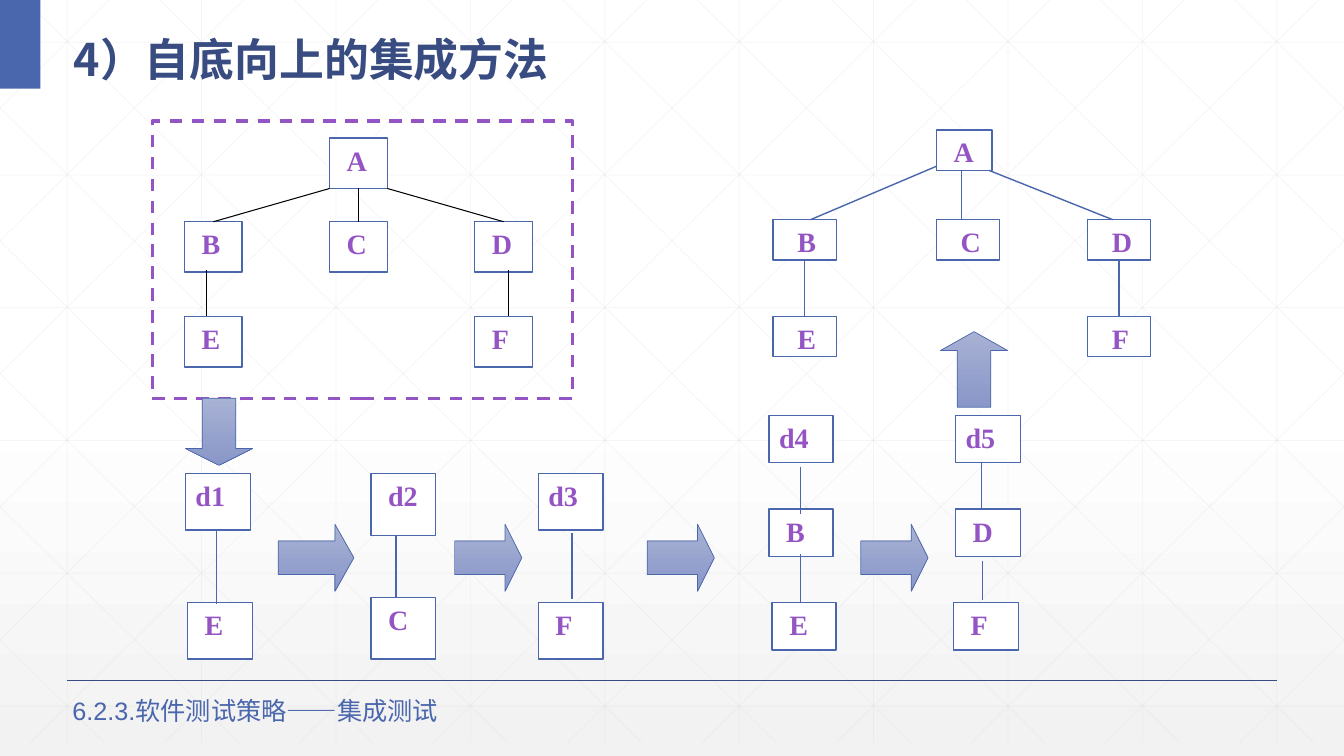
from typing import NamedTuple

from lxml.etree import SubElement
from pptx import Presentation
from pptx.dml.color import RGBColor
from pptx.enum.dml import MSO_LINE
from pptx.enum.shapes import MSO_CONNECTOR, MSO_SHAPE
from pptx.enum.text import MSO_ANCHOR, MSO_AUTO_SIZE, PP_ALIGN
from pptx.oxml.ns import qn
from pptx.util import Inches, Pt

COLUMNS, ROWS = 40, 22.5
CELL = Inches(13.33) / COLUMNS
BLUE = RGBColor(0x4A, 0x66, 0xAC)
NAVY = RGBColor(0x38, 0x4C, 0x81)
PURPLE = RGBColor(0x94, 0x54, 0xC3)
ARROW_LIGHT = RGBColor(0xA8, 0xB2, 0xD4)
ARROW_DARK = RGBColor(0x89, 0x96, 0xC8)
GRID_GRAY = RGBColor(0xD9, 0xD9, 0xD9)
PALE_GRAY = RGBColor(0xF2, 0xF2, 0xF2)
WHITE = RGBColor(0xFF, 0xFF, 0xFF)
BLACK = RGBColor(0, 0, 0)


class Region(NamedTuple):
    """A box measured in cells of the slide grid."""
    left: float
    top: float
    width: float
    height: float

    def inner(self, left, top, width, height):
        """Return a box placed relative to this one."""
        return Region(self.left + left, self.top + top, width, height)

    def emu(self):
        """Return the box in slide units."""
        return [round(length * CELL) for length in self]


def add_line(slide, region, ends, color, width, opacity=None):
    """Draw a straight line between two points of a region."""
    x1, y1, x2, y2 = ends
    points = (region.left + x1, region.top + y1, region.left + x2, region.top + y2)
    connector = slide.shapes.add_connector(
        MSO_CONNECTOR.STRAIGHT, *(round(point * CELL) for point in points))
    connector.line.color.rgb = color
    connector.line.width = Pt(width)
    if opacity:
        color_element = next(connector.element.iter(qn("a:srgbClr")))
        SubElement(color_element, qn("a:alpha"), val=str(opacity * 1000))
    SubElement(connector.element.spPr, qn("a:effectLst"))


def add_box(slide, region, kind=MSO_SHAPE.RECTANGLE, fill=None, line=None, width=1):
    """Add a preset shape with a plain fill and outline."""
    shape = slide.shapes.add_shape(kind, *region.emu())
    shape.shadow.inherit = False
    if fill is None:
        shape.fill.background()
    else:
        shape.fill.solid()
        shape.fill.fore_color.rgb = fill
    if line is None:
        shape.line.fill.background()
    else:
        shape.line.color.rgb = line
        shape.line.width = Pt(width)
    return shape


def set_gradient(fill, start, end, start_position=0):
    """Fill from top to bottom with two colours."""
    fill.gradient()
    fill.gradient_angle = 270
    first, last = fill.gradient_stops
    first.color.rgb, last.color.rgb = start, end
    first.position = start_position


def write(shape, text, font_name, size, color, bold=False):
    """Write one left-aligned paragraph."""
    paragraph = shape.text_frame.paragraphs[0]
    paragraph.text = text
    paragraph.alignment = PP_ALIGN.LEFT
    font = paragraph.font
    font.name, font.size, font.bold = font_name, Pt(size), bold
    font.color.rgb = color
    return paragraph


def draw_backdrop(slide, region):
    """Draw the shaded background with its faint lattice."""
    set_gradient(slide.background.fill, WHITE, PALE_GRAY, 0.53)
    right, bottom = region.width, region.height
    lines = [(x, 0, x, bottom) for x in range(2, COLUMNS, 4)]
    lines += [(0, 1.26 + 3.95 * row, right, 1.26 + 3.95 * row) for row in range(6)]
    slope = bottom / 22.36
    for step in range(-5, 10):
        start = 0.75 + 4 * step
        x1, x2 = max(start, 0), min(start + 22.36, right)
        y1, y2 = (x1 - start) * slope, (x2 - start) * slope
        lines += [(x1, y1, x2, y2), (right - x1, y1, right - x2, y2)]
    for ends in lines:
        add_line(slide, region, ends, GRID_GRAY, 0.5, opacity=25)


def draw_header(slide, region):
    """Place the corner block and the title."""
    add_box(slide, region.inner(0, 0, 1.2, region.height), fill=BLUE)
    title = slide.shapes.title
    title.left, title.top, title.width, title.height = region.inner(1.89, 0.42, 36.15, 2.19).emu()
    title.text_frame.auto_size = MSO_AUTO_SIZE.NONE
    title.text_frame.vertical_anchor = MSO_ANCHOR.MIDDLE
    paragraph = write(title, "4）自底向上的集成方法", "Noto Sans CJK SC", 32, NAVY, True)
    paragraph.line_spacing = 1.3
    slide.shapes.element.append(title.element)


def draw_footer(slide, region):
    """Draw the rule and the section name below it."""
    add_line(slide, region, (0, 0, region.width, 0), NAVY, 1)
    label = slide.shapes.add_textbox(*region.inner(-0.14, 0.3, 13.86, 1.2).emu())
    label.text_frame.word_wrap = True
    write(label, "6.2.3.软件测试策略——集成测试", "Arial", 18, BLUE)


def draw_node(slide, region, text, indent):
    """Draw one module box with its label."""
    node = add_box(slide, region, fill=WHITE, line=BLUE)
    node.text_frame.margin_left = round(indent * CELL)
    node.text_frame.margin_right = 0
    node.text_frame.vertical_anchor = MSO_ANCHOR.TOP
    write(node, text, "Times New Roman", 20, PURPLE, True)


def draw_tree(slide, region, columns, rows, widths, height, indents, links, line):
    """Draw the six-module call tree."""
    for row, labels in enumerate(("A", "BCD", "EF")):
        places = ((1,), (0, 1, 2), (0, 2))[row]
        for label, column in zip(labels, places):
            box = region.inner(columns[column], rows[row], widths[row > 0], height)
            draw_node(slide, box, label, indents[row > 0])
    for ends in links:
        add_line(slide, region, ends, *line)


def draw_stack(slide, region, labels, height, shift, links, driver_indent=0.3):
    """Draw a driver with the modules it tests spread evenly below."""
    last = len(labels) - 1
    for index, label in enumerate(labels):
        left = shift if index == last else 0
        top = (region.height - height) * index / last
        indent = 0.51 if index else driver_indent
        draw_node(slide, region.inner(left, top, region.width, height), label, indent)
    for x, start, end in links:
        add_line(slide, region, (x, start, x, end), BLUE, 1)


def draw_arrow(slide, region, kind):
    """Draw a shaded block arrow whose head is a quarter of its length."""
    arrow = add_box(slide, region, kind, WHITE, BLUE, 0.5)
    set_gradient(arrow.fill, ARROW_LIGHT, ARROW_DARK)
    arrow.adjustments[0] = 0.5
    arrow.adjustments[1] = max(region.width, region.height) / 8


def main():
    """Build the slide and save it."""
    presentation = Presentation()
    presentation.slide_width = round(COLUMNS * CELL)
    presentation.slide_height = round(ROWS * CELL)
    slide = presentation.slides.add_slide(presentation.slide_layouts[5])
    draw_backdrop(slide, Region(0, 0, COLUMNS, 22.11))
    draw_header(slide, Region(0, 0, COLUMNS, 2.64))
    draw_footer(slide, Region(2, 20.25, 36, 2.25))

    start = Region(4.53, 3.6, 12.51, 8.25)
    draw_tree(slide, start, (0.96, 5.28, 9.6), (0.51, 3, 5.82), (1.72, 1.72), 1.5, (0.51, 0.51),
              [(5.28, 2.01, 1.82, 3), (7, 2.01, 10.46, 3), (6.14, 2.01, 6.14, 3),
               (1.62, 4.44, 1.62, 5.82), (10.59, 4.44, 10.59, 5.82)], (BLACK, 0.75))
    frame = add_box(slide, start, line=PURPLE, width=2.25)
    frame.line.dash_style = MSO_LINE.DASH

    draw_stack(slide, Region(11.04, 14.1, 1.93, 5.52), ("d2", "C"), 1.83, 0,
               [(0.75, 1.83, 3.69)], driver_indent=0.51)
    draw_stack(slide, Region(5.52, 14.1, 1.93, 5.52), ("d1", "E"), 1.68, 0.06, [(0.93, 1.65, 3.87)])
    draw_stack(slide, Region(16.02, 14.1, 1.93, 5.52), ("d3", "F"), 1.68, 0, [(1, 1.77, 3.72)])
    draw_stack(slide, Region(22.89, 12.36, 1.9, 6.99), ("d4", "B", "E"), 1.41, 0.09,
               [(0.93, 1.53, 2.94), (0.93, 4.14, 5.58)])
    draw_stack(slide, Region(28.44, 12.36, 1.93, 6.99), ("d5", "D", "F"), 1.41, -0.06,
               [(0.78, 1.41, 2.82), (0.81, 4.35, 5.49)])

    draw_tree(slide, Region(23.01, 3.87, 11.25, 6.75), (0, 4.86, 9.36), (0, 2.67, 5.55),
              (1.65, 1.88), 1.2, (0.51, 0.72),
              [(4.86, 1.08, 1.11, 2.67), (6.42, 1.2, 10.11, 2.67), (5.61, 1.23, 5.61, 2.64),
               (0.93, 3.84, 0.93, 5.55), (10.29, 3.84, 10.29, 5.55)], (BLUE, 1))

    for left, width in ((8.28, 2.25), (13.53, 2), (19.26, 2), (25.62, 2)):
        draw_arrow(slide, Region(left, 15.6, width, 2), MSO_SHAPE.RIGHT_ARROW)
    draw_arrow(slide, Region(5.52, 11.85, 2, 2), MSO_SHAPE.DOWN_ARROW)
    draw_arrow(slide, Region(27.99, 9.87, 2, 2.25), MSO_SHAPE.UP_ARROW)
    presentation.save("out.pptx")


if __name__ == "__main__":
    main()
